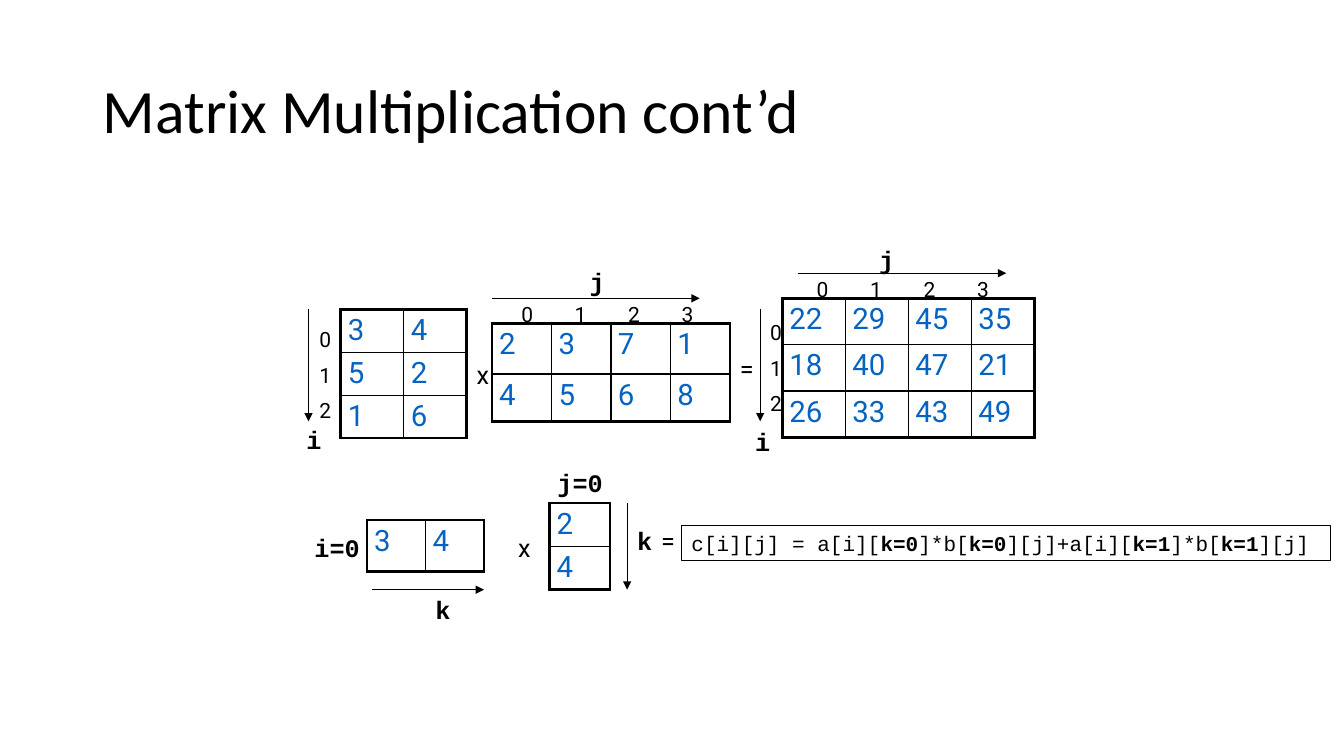
from dataclasses import dataclass

from lxml.etree import SubElement
from pptx import Presentation
from pptx.dml.color import RGBColor
from pptx.enum.shapes import MSO_CONNECTOR, MSO_SHAPE
from pptx.enum.text import MSO_ANCHOR, MSO_AUTO_SIZE, PP_ALIGN
from pptx.oxml.ns import qn
from pptx.slide import Slide
from pptx.table import _Cell
from pptx.text.text import TextFrame, _Run
from pptx.util import Inches, Pt

BLACK = "000000"
BLUE = "0563C1"
SANS = "Roboto"
MONO = "Courier New"
THICK, THIN = 2.25, 1
INDEX_STEP = 0.53


@dataclass(frozen=True)
class Matrix:
    left: float
    top: float
    column_width: float
    row_heights: tuple[float, ...]
    values: tuple[tuple[int, ...], ...]


@dataclass(frozen=True)
class Label:
    text: str
    left: float
    top: float
    width: float = 0.35
    height: float = 0.4
    font: str = MONO
    size: float = 18
    wrap: bool = False


@dataclass(frozen=True)
class Arrow:
    start: tuple[float, float]
    end: tuple[float, float]


MATRICES = (
    Matrix(4.88, 3.21, 0.59, (0.5, 0.47), ((2, 3, 7, 1), (4, 5, 6, 8))),
    Matrix(3.38, 3.07, 0.625, (0.425,) * 3, ((3, 4), (5, 2), (1, 6))),
    Matrix(7.76, 2.96, 0.625, (0.46,) * 3,
           ((22, 29, 45, 35), (18, 40, 47, 21), (26, 33, 43, 49))),
    Matrix(3.64, 5.16, 0.58, (0.51,), ((3, 4),)),
    Matrix(5.45, 4.99, 0.6, (0.43, 0.43), ((2,), (4,))),
)

ARROWS = (
    Arrow((3.06, 3.07), (3.06, 4.18)),
    Arrow((4.88, 2.96), (6.94, 2.96)),
    Arrow((7.91, 2.71), (9.98, 2.71)),
    Arrow((7.54, 3.07), (7.54, 4.18)),
    Arrow((3.69, 5.85), (4.8, 5.85)),
    Arrow((6.22, 4.99), (6.22, 5.85)),
)

AXIS_LABELS = (
    Label("i=0", 3.02, 5.23, 1.03, wrap=True),
    Label("i", 7.39, 4.18),
    Label("j", 5.75, 2.59),
    Label("j", 8.62, 2.37),
    Label("j=0", 5.43, 4.59, 0.65),
    Label("k", 4.22, 5.85),
    Label("k", 6.22, 5.16),
    Label("i", 2.94, 4.16),
)

OPERATORS = tuple(
    Label(sign, left, top, 0.29, font=SANS, wrap=True)
    for sign, left, top in (
        ("x", 4.63, 3.52), ("=", 7.24, 3.46), ("x", 5.04, 5.23), ("=", 6.46, 5.16))
)

ROW_INDICES = tuple(
    Label("0\n1\n2", left, top, 0.36, 1.11, SANS, 15, True)
    for left, top in ((3.07, 3.19), (7.54, 3.12))
)

COLUMN_INDICES = tuple(
    Label("0\t1\t2\t3", left, top, 2.38, 0.35, SANS, 15, True)
    for left, top in ((4.83, 2.94), (7.76, 2.69))
)

# Every second part is bold.
FORMULA_PARTS = ("c[i][j] = a[i][", "k=0", "]*b[", "k=0", "][j]+a[i][",
                 "k=1", "]*b[", "k=1", "][j]")


def color(value: str) -> RGBColor:
    return RGBColor.from_string(value)


def format_run(run: _Run, font: str, size: float, value: str = BLACK,
               bold: bool = False) -> None:
    run.font.name = font
    run.font.size = Pt(size)
    run.font.bold = bold
    run.font.color.rgb = color(value)


def add_title(slide: Slide, text: str) -> None:
    title = slide.shapes.title
    title.left, title.top = Inches(0.92), Inches(0.4)
    title.width, title.height = Inches(11.5), Inches(1.45)
    frame = title.text_frame
    frame.text = text
    frame.auto_size = MSO_AUTO_SIZE.NONE
    frame.vertical_anchor = MSO_ANCHOR.MIDDLE
    paragraph = frame.paragraphs[0]
    paragraph.alignment = PP_ALIGN.LEFT
    paragraph.line_spacing = 0.9
    format_run(paragraph.runs[0], "Calibri", 44)


def add_label(slide: Slide, label: Label) -> TextFrame:
    box = slide.shapes.add_textbox(Inches(label.left), Inches(label.top),
                                   Inches(label.width), Inches(label.height))
    frame = box.text_frame
    frame.text = label.text
    frame.word_wrap = label.wrap
    frame.auto_size = MSO_AUTO_SIZE.SHAPE_TO_FIT_TEXT
    for number, paragraph in enumerate(frame.paragraphs):
        if number:
            paragraph.space_before = Pt(label.size / 2)
        for run in paragraph.runs:
            format_run(run, label.font, label.size, bold=label.font == MONO)
    return frame


def add_column_indices(slide: Slide, label: Label) -> None:
    """Space the indices evenly with tab stops."""
    frame = add_label(slide, label)
    frame.margin_left = Inches(0.34)
    properties = frame.paragraphs[0]._p.get_or_add_pPr()
    stops = SubElement(properties, qn("a:tabLst"))
    for number in range(1, 4):
        SubElement(stops, qn("a:tab"), pos=str(Inches(number * INDEX_STEP)), algn="l")


def set_border(cell: _Cell, side: str, width: float) -> None:
    line = SubElement(cell._tc.get_or_add_tcPr(), qn(f"a:ln{side}"), w=str(Pt(width)))
    fill = SubElement(line, qn("a:solidFill"))
    SubElement(fill, qn("a:srgbClr"), val=BLACK)


def add_matrix(slide: Slide, matrix: Matrix) -> None:
    rows, columns = len(matrix.values), len(matrix.values[0])
    table = slide.shapes.add_table(
        rows, columns, Inches(matrix.left), Inches(matrix.top),
        Inches(columns * matrix.column_width), Inches(sum(matrix.row_heights))).table
    table.first_row = table.horz_banding = False
    for column in table.columns:
        column.width = Inches(matrix.column_width)
    for i, row_values in enumerate(matrix.values):
        table.rows[i].height = Inches(matrix.row_heights[i])
        for j, value in enumerate(row_values):
            cell = table.cell(i, j)
            cell.margin_left = cell.margin_right = Inches(0.07)
            cell.margin_top = cell.margin_bottom = Inches(0.04)
            outer_sides = {"L": j == 0, "R": j == columns - 1,
                           "T": i == 0, "B": i == rows - 1}
            for side, outer in outer_sides.items():
                set_border(cell, side, THICK if outer else THIN)
            cell.fill.background()
            cell.text_frame.text = str(value)
            format_run(cell.text_frame.paragraphs[0].runs[0], SANS, 21, BLUE)


def add_arrow(slide: Slide, arrow: Arrow) -> None:
    connector = slide.shapes.add_connector(
        MSO_CONNECTOR.STRAIGHT, *map(Inches, arrow.start + arrow.end))
    connector.line.color.rgb = color(BLACK)
    connector.line.width = Pt(0.75)
    SubElement(connector.line._get_or_add_ln(), qn("a:tailEnd"), type="triangle")
    SubElement(connector._element.spPr, qn("a:effectLst"))


def add_formula(slide: Slide) -> None:
    box = slide.shapes.add_shape(MSO_SHAPE.RECTANGLE, Inches(6.76), Inches(5.21),
                                 Inches(6.44), Inches(0.35))
    box.shadow.inherit = False
    box.fill.background()
    box.line.color.rgb = color(BLACK)
    box.line.width = Pt(0.75)
    frame = box.text_frame
    frame.word_wrap = True
    frame.vertical_anchor = MSO_ANCHOR.TOP
    paragraph = frame.paragraphs[0]
    paragraph.alignment = PP_ALIGN.LEFT
    for number, part in enumerate(FORMULA_PARTS):
        run = paragraph.add_run()
        run.text = part
        format_run(run, MONO, 15, bold=number % 2 == 1)


def main() -> None:
    presentation = Presentation()
    presentation.slide_width, presentation.slide_height = Inches(13.33), Inches(7.5)
    slide = presentation.slides.add_slide(presentation.slide_layouts[5])
    add_title(slide, "Matrix Multiplication cont’d")
    for matrix in MATRICES:
        add_matrix(slide, matrix)
    for arrow in ARROWS:
        add_arrow(slide, arrow)
    for label in OPERATORS + AXIS_LABELS + ROW_INDICES:
        add_label(slide, label)
    for label in COLUMN_INDICES:
        add_column_indices(slide, label)
    add_formula(slide)
    presentation.save("out.pptx")


if __name__ == "__main__":
    main()
